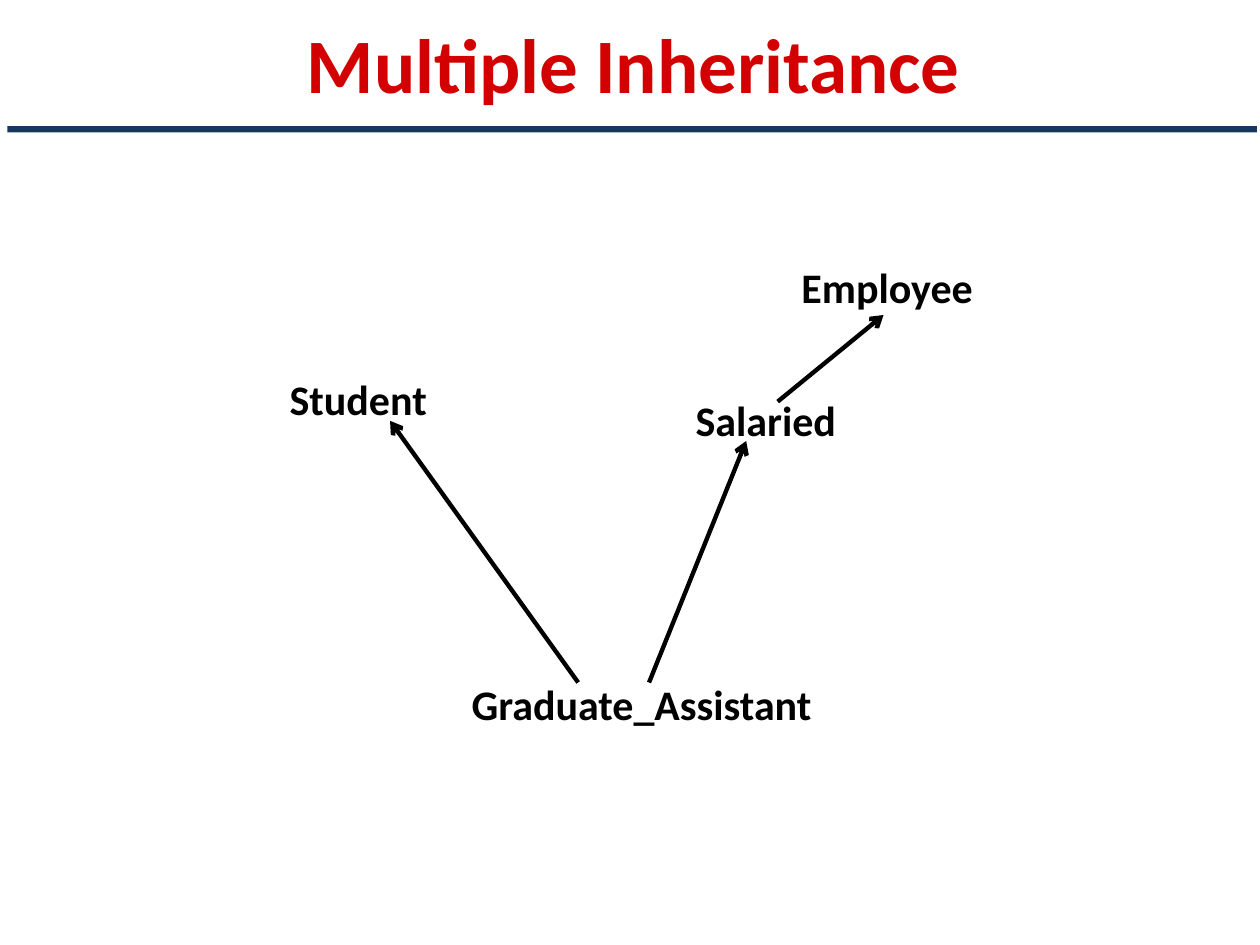
from lxml.etree import SubElement
from pptx import Presentation
from pptx.dml.color import RGBColor
from pptx.enum.shapes import MSO_CONNECTOR as CONN, MSO_SHAPE as SHAPE
from pptx.enum.text import MSO_ANCHOR as ANCHOR, MSO_AUTO_SIZE as AUTO, PP_ALIGN as ALIGN
from pptx.oxml.ns import qn
from pptx.util import Pt

COLORS = {"title": "D20000", "rule": "17375E", "ink": "000000"}
TITLE = {"name": "Calibri", "size": Pt(44), "bold": True}
LABEL = {"name": "Calibri", "size": Pt(24), "bold": True}
MARGINS = {"margin_left": Pt(7.2), "margin_right": Pt(7.2),
           "margin_top": Pt(3.6), "margin_bottom": Pt(3.6)}

# Class name: left, top, width within the diagram
CLASSES = {
    "Student": (0, 64, 94),
    "Employee": (292.5, 0, 114),
    "Graduate_Assistant": (104, 238, 211),
    "Salaried": (232, 76, 96),
}
# Arrows from child to parent: start and end within the diagram
ARROWS = [
    ((172, 244), (64.5, 94.5)),
    ((286, 83.5), (346.5, 34)),
    ((212.5, 244), (268, 106)),
]


def color(name):
    return RGBColor.from_string(COLORS[name])


def set_all(target, values):
    for key, value in values.items():
        setattr(target, key, value)


def write(tf, text, font, ink, align, **frame):
    set_all(tf, {**MARGINS, **frame})
    p = tf.paragraphs[0]
    p.alignment = align
    r = p.add_run()
    r.text = text
    set_all(r.font, font)
    r.font.color.rgb = color(ink)


def add_header(s, text, left, top, width, height):
    # Title
    sp = s.shapes.title
    set_all(sp, {"left": Pt(left), "top": Pt(top), "width": Pt(width), "height": Pt(height)})
    write(sp.text_frame, text, TITLE, "title", ALIGN.CENTER,
          word_wrap=True, vertical_anchor=ANCHOR.MIDDLE)
    # Rule under the title
    rule = s.shapes.add_shape(SHAPE.RECTANGLE, Pt(left), Pt(top + height), Pt(714), Pt(3.6))
    rule.shadow.inherit = False
    rule.fill.solid()
    rule.fill.fore_color.rgb = color("rule")
    rule.line.fill.background()


def add_diagram(s, left, top):
    # Class names
    for name, (x, y, width) in CLASSES.items():
        sp = s.shapes.add_textbox(Pt(left + x), Pt(top + y), Pt(width), Pt(36))
        write(sp.text_frame, name, LABEL, "ink", ALIGN.LEFT,
              word_wrap=False, auto_size=AUTO.SHAPE_TO_FIT_TEXT)
    # Inheritance arrows
    for (x1, y1), (x2, y2) in ARROWS:
        cn = s.shapes.add_connector(CONN.STRAIGHT, Pt(left + x1), Pt(top + y1),
                                    Pt(left + x2), Pt(top + y2))
        cn.line.width = Pt(2.5)
        cn.line.color.rgb = color("ink")
        SubElement(cn.line._get_or_add_ln(), qn("a:tailEnd"), type="arrow")
        SubElement(cn._element.spPr, qn("a:effectLst"))


def main():
    prs = Presentation()
    prs.slide_width, prs.slide_height = Pt(720), Pt(540)
    s = prs.slides.add_slide(prs.slide_layouts[5])
    add_header(s, "Multiple Inheritance", 4.3, 0, 715.7, 72)
    add_diagram(s, 158.4, 146)
    prs.save("out.pptx")


if __name__ == "__main__":
    main()
